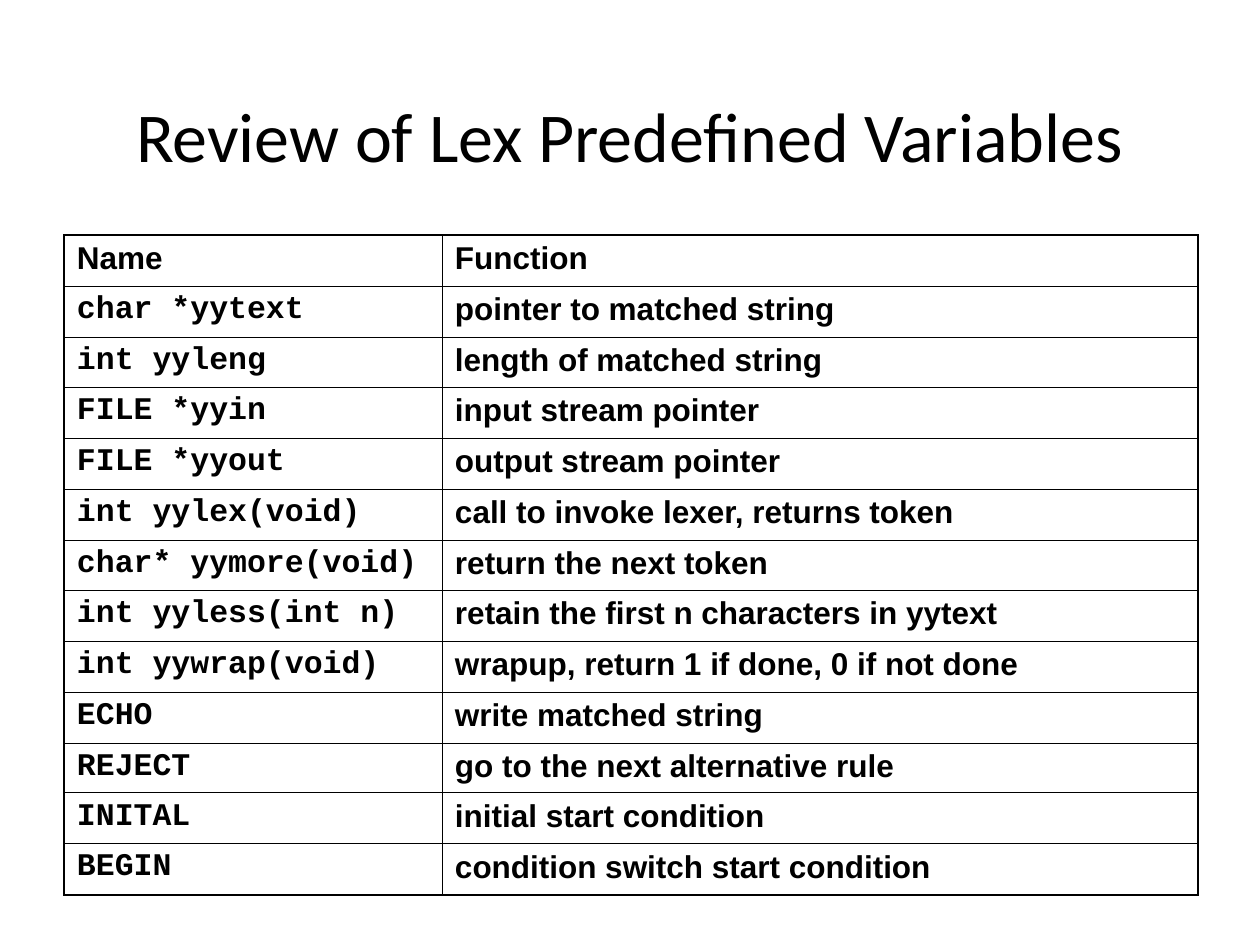
from dataclasses import dataclass
from typing import NamedTuple

from pptx import Presentation
from pptx.dml.color import RGBColor
from pptx.enum.text import MSO_ANCHOR as Anchor, PP_ALIGN as Align
from pptx.oxml import parse_xml
from pptx.oxml.ns import nsdecls
from pptx.slide import Slide
from pptx.table import _Cell as Cell
from pptx.text.text import _Paragraph as Paragraph
from pptx.util import Emu, Pt

PX_PER_INCH = 126


@dataclass(frozen=True)
class Theme:
    ink: str = "000000"
    paper: str = "FFFFFF"
    title_font: str = "Calibri"
    body_font: str = "Arial"
    code_font: str = "Courier New"
    title_size: int = 40
    table_size: int = 18
    outer_line: float = 1.08
    inner_line: float = 0.45


class Box(NamedTuple):
    left: int
    top: int
    width: int
    height: int


class Entry(NamedTuple):
    name: str
    function: str


THEME = Theme()
SLIDE_SIZE = (1260, 945)
TITLE_BOX = Box(94, 55, 1071, 158)
TABLE_BOX = Box(64, 235, 1134, 660)
COLUMN_WIDTHS = (378, 756)
HEADER = Entry("Name", "Function")
ENTRIES = (
    Entry("char *yytext", "pointer to matched string"),
    Entry("int yyleng", "length of matched string"),
    Entry("FILE *yyin", "input stream pointer"),
    Entry("FILE *yyout", "output stream pointer"),
    Entry("int yylex(void)", "call to invoke lexer, returns token"),
    Entry("char* yymore(void)", "return the next token"),
    Entry("int yyless(int n)", "retain the first n characters in yytext"),
    Entry("int yywrap(void)", "wrapup, return 1 if done, 0 if not done"),
    Entry("ECHO", "write matched string"),
    Entry("REJECT", "go to the next alternative rule"),
    Entry("INITAL", "initial start condition"),
    Entry("BEGIN", "condition switch start condition"),
)


def px(length: int) -> Emu:
    return Emu(round(length * 914400 / PX_PER_INCH))


def apply_format(target: object, values: dict) -> None:
    for name, value in values.items():
        setattr(target, name, value)


def write_text(paragraph: Paragraph, text: str, font: str, size: int, bold: bool) -> None:
    run = paragraph.add_run()
    run.text = text
    apply_format(run.font, {"name": font, "size": Pt(size), "bold": bold})
    run.font.color.rgb = RGBColor.from_string(THEME.ink)


def draw_title(slide: Slide, text: str) -> None:
    shape = slide.shapes.add_textbox(*map(px, TITLE_BOX))
    frame = shape.text_frame
    apply_format(frame, {"word_wrap": True, "vertical_anchor": Anchor.MIDDLE})
    paragraph = frame.paragraphs[0]
    paragraph.alignment = Align.CENTER
    write_text(paragraph, text, THEME.title_font, THEME.title_size, False)


def draw_borders(cell: Cell, outer_sides: dict[str, bool]) -> None:
    properties = cell._tc.get_or_add_tcPr()
    for position, (side, is_outer) in enumerate(outer_sides.items()):
        width = Pt(THEME.outer_line if is_outer else THEME.inner_line)
        line = parse_xml(
            f'<a:ln{side} {nsdecls("a")} w="{width}"><a:solidFill>'
            f'<a:srgbClr val="{THEME.ink}"/></a:solidFill></a:ln{side}>'
        )
        properties.insert(position, line)


def draw_cell(cell: Cell, text: str, font: str) -> None:
    margins = {"margin_left": 13, "margin_right": 13, "margin_top": 6, "margin_bottom": 6}
    apply_format(cell, {name: px(value) for name, value in margins.items()})
    cell.fill.solid()
    cell.fill.fore_color.rgb = RGBColor.from_string(THEME.paper)
    write_text(cell.text_frame.paragraphs[0], text, font, THEME.table_size, True)


def draw_table(slide: Slide, entries: tuple[Entry, ...]) -> None:
    row_count, column_count = len(entries), len(COLUMN_WIDTHS)
    shape = slide.shapes.add_table(row_count, column_count, *map(px, TABLE_BOX))
    table = shape.table
    apply_format(table, {"first_row": False, "horz_banding": False})
    for column, width in zip(table.columns, COLUMN_WIDTHS):
        column.width = px(width)
    edges = [round(TABLE_BOX.height * index / row_count) for index in range(row_count + 1)]
    for row_index, entry in enumerate(entries):
        table.rows[row_index].height = px(edges[row_index + 1] - edges[row_index])
        for column_index, text in enumerate(entry):
            is_code = row_index > 0 and column_index == 0
            cell = table.cell(row_index, column_index)
            draw_cell(cell, text, THEME.code_font if is_code else THEME.body_font)
            draw_borders(cell, {
                "L": column_index == 0,
                "R": column_index == column_count - 1,
                "T": row_index == 0,
                "B": row_index == row_count - 1,
            })


def main() -> None:
    presentation = Presentation()
    width, height = map(px, SLIDE_SIZE)
    apply_format(presentation, {"slide_width": width, "slide_height": height})
    slide = presentation.slides.add_slide(presentation.slide_layouts[6])
    slide.background.fill.solid()
    slide.background.fill.fore_color.rgb = RGBColor.from_string(THEME.paper)
    draw_title(slide, "Review of Lex Predefined Variables")
    draw_table(slide, (HEADER, *ENTRIES))
    presentation.save("out.pptx")


if __name__ == "__main__":
    main()
